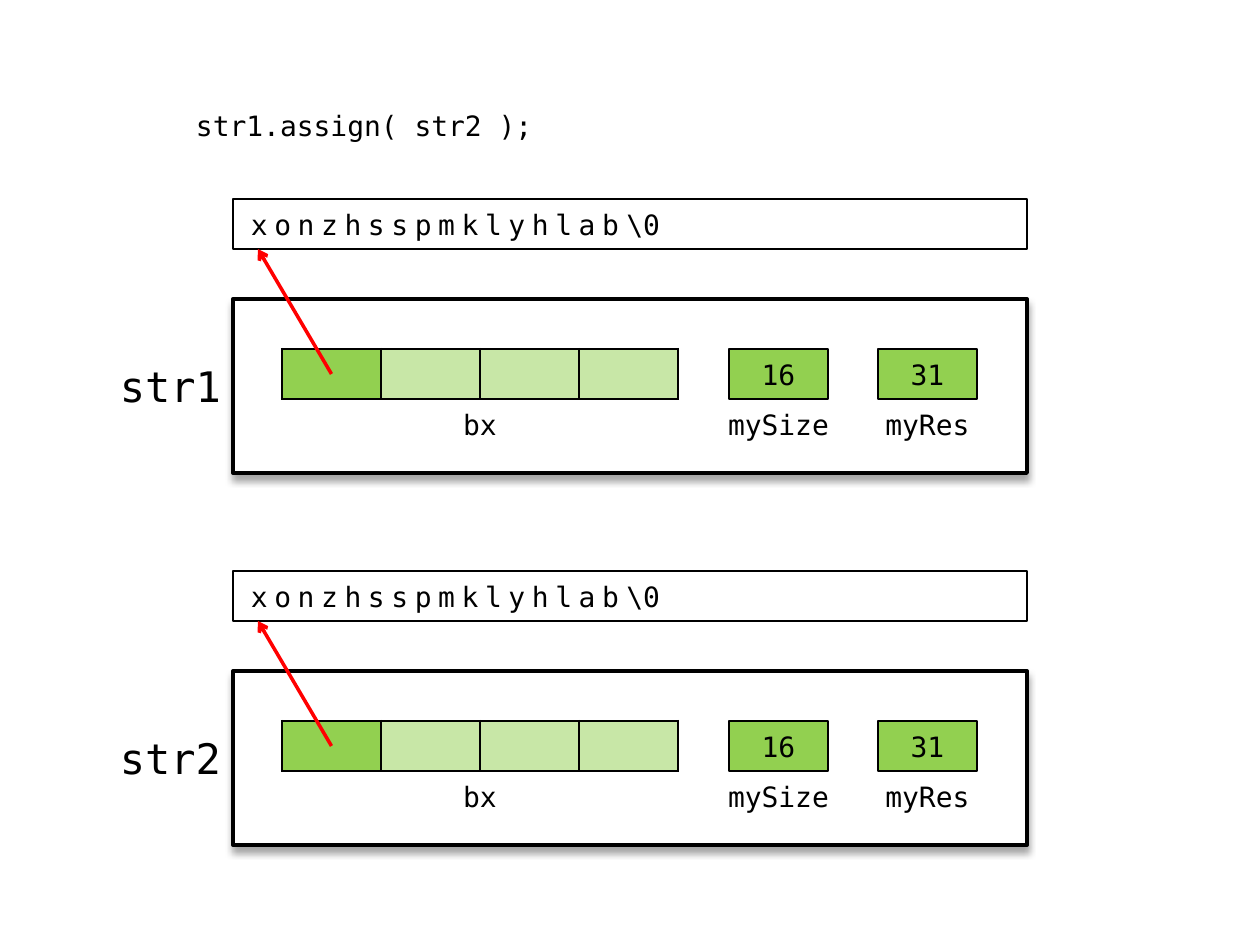
from dataclasses import dataclass

from lxml.etree import SubElement
from pptx import Presentation
from pptx.dml.color import RGBColor
from pptx.enum.shapes import MSO_CONNECTOR as CONN, MSO_SHAPE as SHAPE
from pptx.enum.text import MSO_ANCHOR as ANCHOR, PP_ALIGN as ALIGN
from pptx.oxml.ns import qn
from pptx.util import Emu, Pt

STATEMENT = "str1.assign( str2 );"
# Each buffer run is (text, letter spacing in 1/100 pt)
BUFFER = [("xonzhsspmklyhlab", 380), ("\\", -150), ("0", 0)]
FIELDS = [("16", "mySize"), ("31", "myRes")]
STRINGS = [
    {"name": "str1", "buffer": BUFFER, "fields": FIELDS},
    {"name": "str2", "buffer": BUFFER, "fields": FIELDS},
]
BX_CELLS = 4


@dataclass(frozen=True)
class Theme:
    font: str = "DejaVu Sans Mono"
    black: str = "000000"
    white: str = "FFFFFF"
    green: str = "92D050"
    red: str = "FF0000"
    text: int = 16
    name: int = 24
    thin: float = 1
    line: float = 1.5
    arrow: float = 2
    frame: float = 2.25


T = Theme()
PX_PER_INCH = 126
LEFT, WIDTH = 233, 794          # buffer and frame
TOP, PITCH = 199, 372           # first string and step to the next
ROW_H, CELL_W, GAP = 50, 99, 50
FRAME_H, CAPTION_W = 174, 149
NAME_W, NAME_H = 123, 74
BX_X = LEFT + GAP - 1
BX_W = BX_CELLS * CELL_W
FIELD_X = BX_X + BX_W + GAP + 1
FIELD_STEP = CELL_W + GAP


def px(n):
    return Emu(round(n * 914400 / PX_PER_INCH))


def rgb(color):
    return RGBColor.from_string(color)


def write(sp, runs, size=T.text, align=ALIGN.CENTER, left=12, right=12):
    tf = sp.text_frame
    tf.word_wrap = True
    tf.vertical_anchor = ANCHOR.MIDDLE
    tf.margin_left, tf.margin_right = px(left), px(right)
    tf.margin_top = tf.margin_bottom = px(6)
    p = tf.paragraphs[0]
    p.alignment = align
    for text, spacing in runs:
        r = p.add_run()
        r.text = text
        r.font.name, r.font.size = T.font, Pt(size)
        r.font.color.rgb = rgb(T.black)
        if spacing:
            r._r.get_or_add_rPr().set("spc", str(spacing))


def add_box(s, x, y, w, h, fill=None, line=None, kind=SHAPE.RECTANGLE):
    sp = s.shapes.add_shape(kind, px(x), px(y), px(w), px(h))
    sp.shadow.inherit = False
    if fill:
        sp.fill.solid()
        sp.fill.fore_color.rgb = rgb(fill)
    else:
        sp.fill.background()
    if line:
        sp.line.color.rgb = rgb(T.black)
        sp.line.width = Pt(line)
    else:
        sp.line.fill.background()
    return sp


def add_shadow(sp):
    effects = sp._element.spPr.find(qn("a:effectLst"))
    shadow = SubElement(effects, qn("a:outerShdw"), blurRad=str(Pt(4)),
                        dist=str(Pt(3)), dir="5400000", rotWithShape="0")
    color = SubElement(shadow, qn("a:srgbClr"), val=T.black)
    SubElement(color, qn("a:alpha"), val="35000")


def set_borders(cell, widths):
    """Draw borders; widths are in points for left, right, top, bottom."""
    tcPr = cell._tc.get_or_add_tcPr()
    for i, (side, width) in enumerate(zip("LRTB", widths)):
        ln = SubElement(tcPr, qn("a:ln" + side), w=str(Pt(width)))
        fill = SubElement(ln, qn("a:solidFill"))
        SubElement(fill, qn("a:srgbClr"), val=T.black)
        tcPr.insert(i, ln)


def add_bx(s, y):
    table = s.shapes.add_table(1, BX_CELLS, px(BX_X), px(y), px(BX_W), px(ROW_H)).table
    table.first_row = table.horz_banding = False
    for i, cell in enumerate(table.rows[0].cells):
        table.columns[i].width = px(CELL_W)
        cell.margin_top = cell.margin_bottom = 0
        cell.fill.solid()
        cell.fill.fore_color.rgb = rgb(T.green)
        if i:
            color = cell._tc.tcPr.find(".//" + qn("a:srgbClr"))
            SubElement(color, qn("a:alpha"), val="50000")
        set_borders(cell, (T.thin if i else T.line,
                           T.line if i == BX_CELLS - 1 else T.thin, T.line, T.line))


def add_caption(s, text, center, y, w=CAPTION_W):
    sp = add_box(s, center - w / 2, y, w, ROW_H, kind=SHAPE.FLOWCHART_PROCESS)
    write(sp, [(text, 0)])


def add_pointer(s, x1, y1, x2, y2):
    line = s.shapes.add_connector(CONN.STRAIGHT, px(x1), px(y1), px(x2), px(y2))
    line.line.color.rgb = rgb(T.red)
    line.line.width = Pt(T.arrow)
    SubElement(line.line._get_or_add_ln(), qn("a:tailEnd"), type="arrow")
    SubElement(line._element.spPr, qn("a:effectLst"))


def add_string(s, string, top):
    frame_y = top + 2 * ROW_H
    row_y = frame_y + GAP
    caption_y = row_y + ROW_H

    name = s.shapes.add_textbox(px(LEFT - NAME_W), px(row_y), px(NAME_W), px(NAME_H))
    write(name, [(string["name"], 0)], T.name, ALIGN.RIGHT, left=0)
    add_shadow(add_box(s, LEFT, frame_y, WIDTH, FRAME_H, T.white, T.frame,
                       SHAPE.FLOWCHART_PROCESS))

    add_caption(s, "bx", BX_X + BX_W / 2, caption_y, CELL_W)
    for i, (value, field) in enumerate(string["fields"]):
        x = FIELD_X + i * FIELD_STEP
        write(add_box(s, x, row_y, CELL_W, ROW_H, T.green, T.line), [(value, 0)])
        add_caption(s, field, x + CELL_W / 2, caption_y)
    add_bx(s, row_y)

    buffer = add_box(s, LEFT, top, WIDTH, ROW_H, T.white, T.line)
    write(buffer, string["buffer"], align=ALIGN.LEFT, left=18)
    add_pointer(s, BX_X + CELL_W / 2, row_y + ROW_H / 2, LEFT + 25, top + ROW_H)


def main():
    prs = Presentation()
    prs.slide_width, prs.slide_height = px(1260), px(945)
    s = prs.slides.add_slide(prs.slide_layouts[5])
    title = s.shapes.title
    title.left, title.top, title.width, title.height = map(px, (184, 100, 893, ROW_H))
    write(title, [(STATEMENT, 0)], align=ALIGN.LEFT)
    for i, string in enumerate(STRINGS):
        add_string(s, string, TOP + i * PITCH)
    prs.save("out.pptx")


if __name__ == "__main__":
    main()
